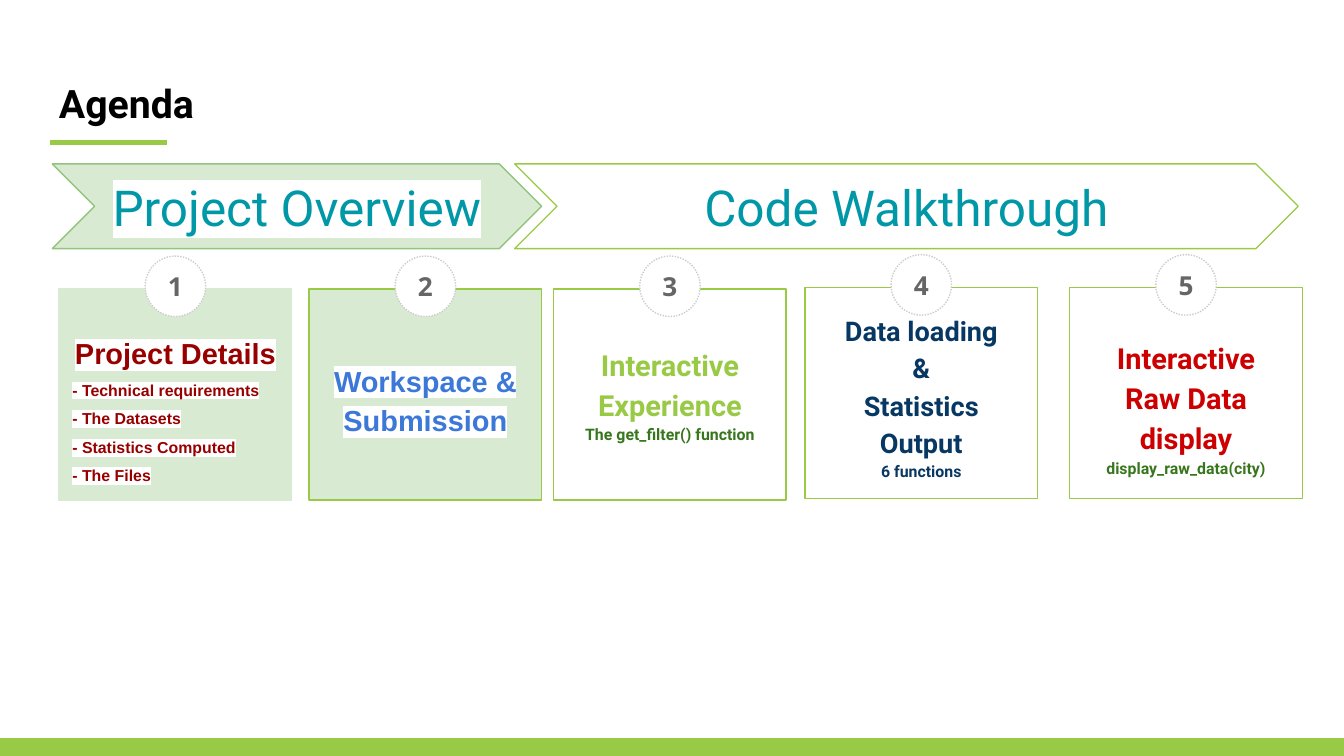
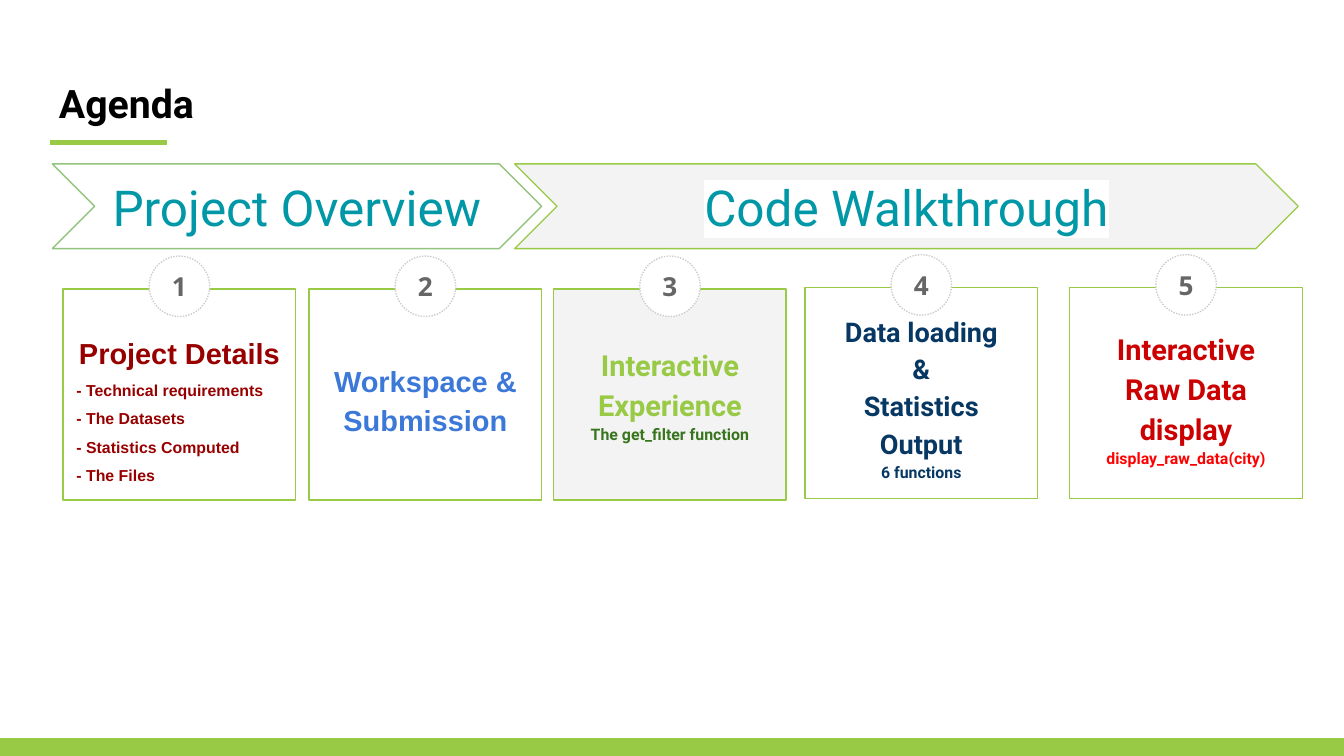
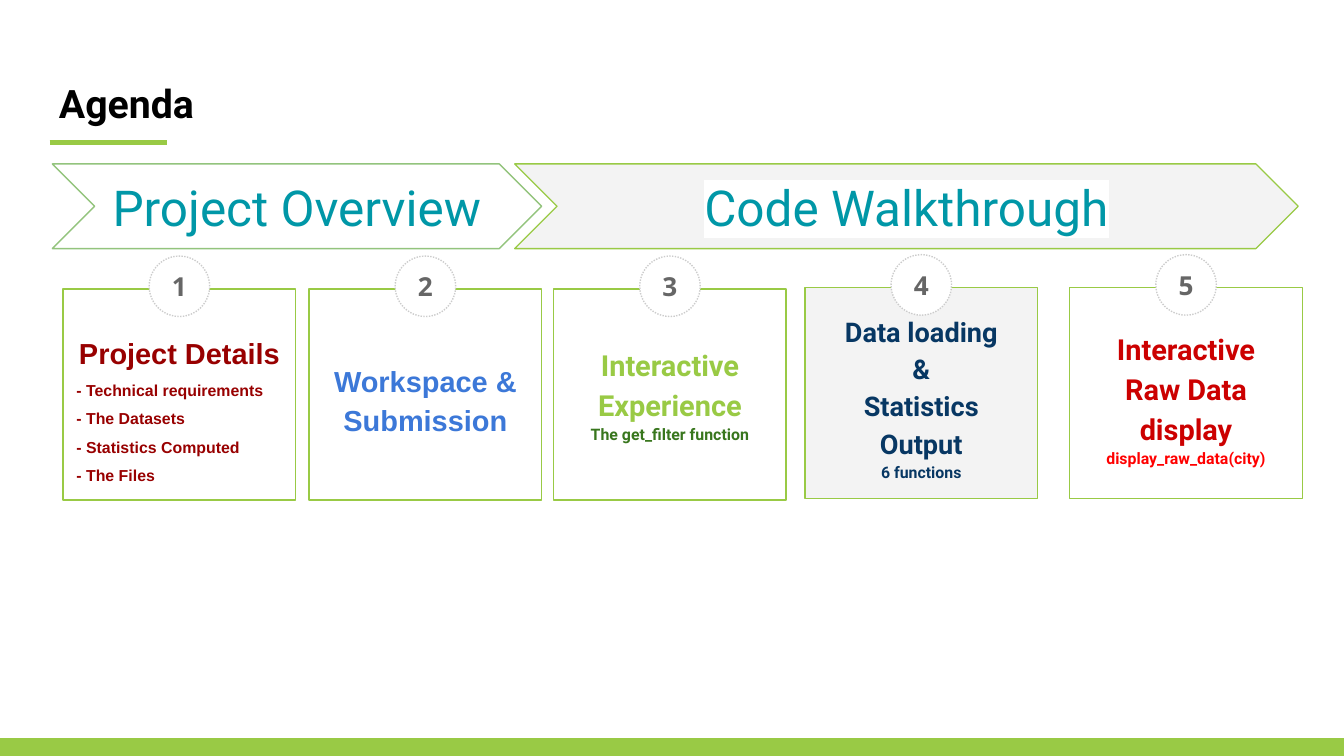
from collections import namedtuple

from lxml import etree
from pptx import Presentation, util as u
from pptx.dml.color import RGBColor
from pptx.enum import dml, shapes, text as t
from pptx.oxml import ns

WIDTH = u.Inches(10)
HEIGHT = WIDTH * 9 // 16
CELL = WIDTH / 100
COLORS = {
    "white": "FFFFFF", "black": "000000", "lime": "99CA45", "mint": "D9EAD3",
    "sage": "93C47D", "mist": "F3F3F3", "dots": "CCCCCC", "gray": "666666",
    "teal": "0097A7", "maroon": "980000", "blue": "3C78D8", "green": "38761D",
    "navy": "073763", "crimson": "CC0000", "red": "FF0000",
}
SHAPE = shapes.MSO_SHAPE
CENTER = t.PP_ALIGN.CENTER
Box = namedtuple("Box", "left top width height")
Card = namedtuple("Card", "left top caption lines")
Line = namedtuple("Line", "text format")


def inside(box, left, top, width, height):
    """Return a box whose corner is offset from the corner of another."""
    return Box(box.left + left, box.top + top, width, height)


def place(box):
    """Convert grid cells to slide lengths."""
    return [round(cells * CELL) for cells in box]


def color(name):
    """Look up a palette colour."""
    return RGBColor.from_string(COLORS[name])


def prepare(frame, anchor):
    """Give a text frame even margins, wrapping and an anchor."""
    frame.word_wrap = True
    frame.vertical_anchor = anchor
    frame.margin_left = frame.margin_right = round(CELL)
    frame.margin_top = frame.margin_bottom = round(CELL)


def write(frame, text, size=15.5, ink="black", font="Roboto", bold=True,
          align=CENTER, spacing=None, highlight=None):
    """Write one formatted paragraph into a text frame."""
    first = frame.paragraphs[0]
    para = frame.add_paragraph() if first.runs else first
    para.alignment = align
    if spacing:
        para.line_spacing = spacing
    span = para.add_run()
    span.text = text
    span.font.size = u.Pt(size)
    span.font.bold = bold
    span.font.color.rgb = color(ink)
    span.font.name = font
    if highlight:
        mark = etree.Element(ns.qn("a:highlight"))
        etree.SubElement(mark, ns.qn("a:srgbClr"), val=COLORS[highlight])
        span.font._element.find(ns.qn("a:latin")).addprevious(mark)


def add_text(page, box, anchor=t.MSO_ANCHOR.MIDDLE):
    """Add an empty text box and return its frame."""
    frame = page.shapes.add_textbox(*place(box)).text_frame
    prepare(frame, anchor)
    return frame


def add_block(page, kind, box, fill, outline):
    """Add a filled, outlined preset shape without shadow."""
    block = page.shapes.add_shape(kind, *place(box))
    block.shadow.inherit = False
    block.fill.solid()
    block.fill.fore_color.rgb = color(fill)
    block.line.color.rgb = color(outline)
    block.line.width = u.Pt(0.75)
    prepare(block.text_frame, t.MSO_ANCHOR.MIDDLE)
    return block


def draw_header(page, box):
    """Draw the slide title and the short rule under it."""
    frame = add_text(page, box, t.MSO_ANCHOR.TOP)
    write(frame, "Agenda", size=21, align=t.PP_ALIGN.LEFT)
    left, top, width, _ = place(inside(box, 0.3, 5.7, 8.7, 0))
    rule = page.shapes.add_connector(
        shapes.MSO_CONNECTOR.STRAIGHT, left, top, left + width, top)
    rule.line.color.rgb = color("lime")
    rule.line.width = u.Pt(3)
    etree.SubElement(rule._element.spPr, ns.qn("a:effectLst"))


def draw_stage(page, box, title, fill, outline):
    """Draw one chevron of the two-stage banner."""
    chevron = add_block(page, SHAPE.CHEVRON, box, fill, outline)
    chevron.adjustments[0] = 0.5
    write(chevron.text_frame, title, size=26.5, ink="teal", bold=False,
          highlight="white")


def draw_card(page, box, number, card, fill, outline):
    """Draw a card with its numbered badge and caption."""
    add_block(page, SHAPE.RECTANGLE, box, fill, outline)
    badge_box = inside(box, (box.width - 4.5) / 2, -2.45, 4.5, 4.5)
    badge = add_block(page, SHAPE.OVAL, badge_box, "white", "dots")
    badge.line.dash_style = dml.MSO_LINE.ROUND_DOT
    write(badge.text_frame, str(number), size=14, ink="gray", font="Open Sans")
    inset, drop, depth = card.caption
    frame = add_text(
        page, inside(box, inset, drop, box.width - 2 * inset, depth))
    for line in card.lines:
        write(frame, line.text, **line.format)


def lines(*texts, **options):
    """Make caption lines that share one format."""
    return [Line(text, {"spacing": 1.15, **options}) for text in texts]


def make_cards(first_left, filter_call, output_caption, raw_depth, raw_ink):
    """Describe the five agenda cards with the details that vary."""
    details = dict(ink="maroon", font="Arial", spacing=1.5, highlight="white")
    return [
        Card(first_left, 21.5, (0, 1.1, 14.6),
             lines("Project Details", **details)
             + lines("- Technical requirements", "- The Datasets",
                     "- Statistics Computed", "- The Files",
                     size=8.5, align=t.PP_ALIGN.LEFT, **details)),
        Card(23, 21.5, (0, 2, 12.2),
             lines("Workspace & Submission", ink="blue", font="Arial",
                   highlight="white")),
        Card(41.2, 21.5, (1, 3.2, 9.1),
             lines("Interactive Experience", ink="lime")
             + lines(f"The {filter_call} function", size=8.5, ink="green")),
        Card(59.9, 21.4, (1, *output_caption),
             lines("Data loading", "&", "Statistics Output",
                   size=14.5, ink="navy")
             + lines("6 functions", size=8.5, ink="navy")),
        Card(79.6, 21.4, (1, 3.6, raw_depth),
             lines("Interactive Raw Data display", ink="crimson")
             + lines("display_raw_data(city)", size=8.5, ink=raw_ink)),
    ]


def draw_agenda(deck, cards, stage_fills, card_fills, first_outline="lime"):
    """Add one agenda slide with the current parts tinted."""
    page = deck.slides.add_slide(deck.slide_layouts[6])
    draw_header(page, Box(3.4, 4.9, 93.2, 6.3))
    band = Box(0, 55, 100, 1.25)
    add_block(page, SHAPE.RECTANGLE, band, "lime", "lime")
    overview, walkthrough = stage_fills
    draw_stage(page, Box(3.9, 12.2, 36.4, 6.3), "Project Overview",
               overview, "sage")
    draw_stage(page, Box(38.3, 12.2, 58.3, 6.3), "Code Walkthrough",
               walkthrough, "lime")
    for number, card in enumerate(cards, 1):
        draw_card(page, Box(card.left, card.top, 17.3, 15.7), number, card,
                  card_fills.get(number, "white"),
                  first_outline if number == 1 else "lime")


def main():
    """Build the three agenda slides and save the deck."""
    deck = Presentation()
    deck.slide_width, deck.slide_height = WIDTH, HEIGHT
    opening = make_cards(4.4, "get_filter()", (1.9, 12.2), 10.5, "green")
    draw_agenda(deck, opening, ("mint", "white"), {1: "mint", 2: "mint"},
                first_outline="mint")
    cards = make_cards(4.7, "get_filter", (3.5, 9.1), 9.1, "red")
    for current in (3, 4):
        draw_agenda(deck, cards, ("white", "mist"), {current: "mist"})
    deck.save("out.pptx")


if __name__ == "__main__":
    main()
